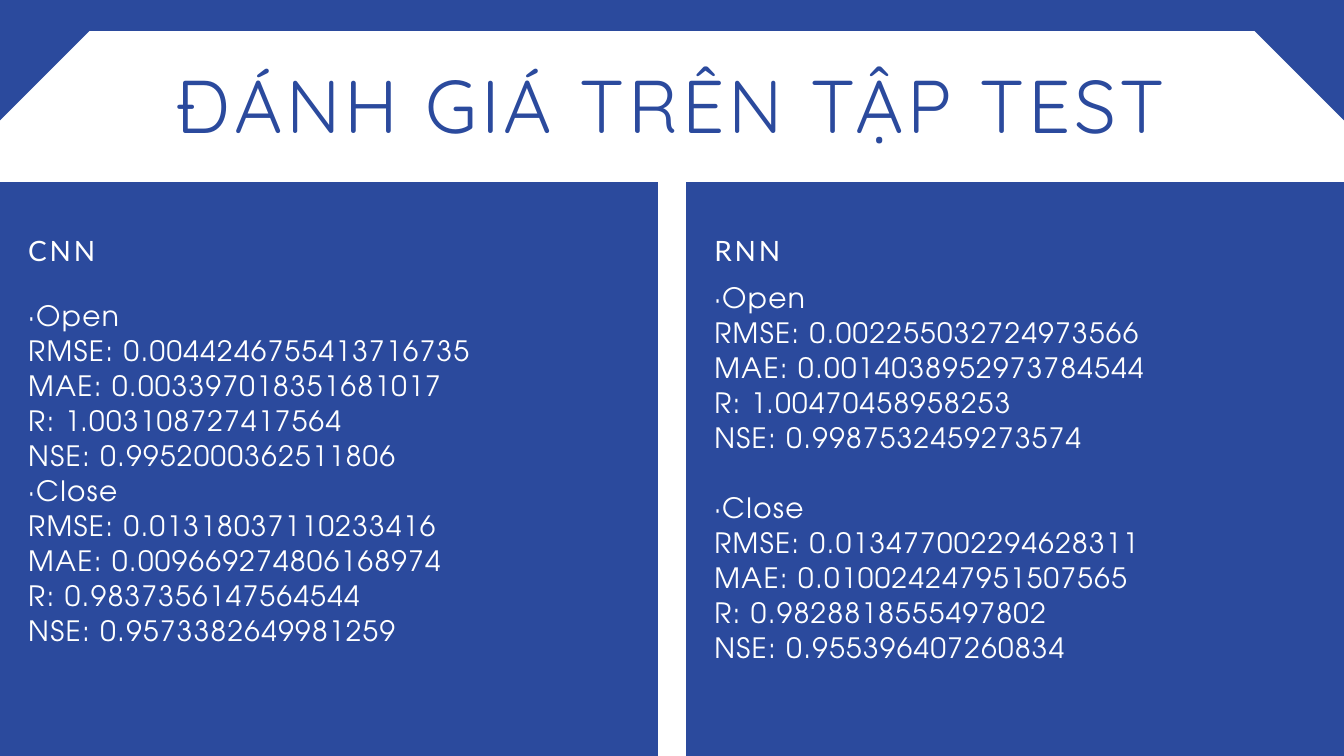
from pptx import Presentation
from pptx.dml.color import RGBColor
from pptx.enum.shapes import MSO_SHAPE
from pptx.enum.text import PP_ALIGN
from pptx.util import Inches, Pt

RECTANGLE = MSO_SHAPE.RECTANGLE
TRIANGLE = MSO_SHAPE.RIGHT_TRIANGLE
CENTER, LEFT = PP_ALIGN.CENTER, PP_ALIGN.LEFT

TITLE = "ĐÁNH GIÁ TRÊN TẬP TEST"
MODELS = [
    {
        "name": "CNN", "top": 4.42, "height": 5.73, "group_gap": 0,
        "groups": [
            ("·Open", "RMSE: 0.0044246755413716735", "MAE: 0.003397018351681017",
             "R: 1.003108727417564", "NSE: 0.9952000362511806"),
            ("·Close", "RMSE: 0.01318037110233416", "MAE: 0.009669274806168974",
             "R: 0.9837356147564544", "NSE: 0.9573382649981259"),
        ],
    },
    {
        "name": "RNN", "top": 4.16, "height": 6.25, "group_gap": 37.5,
        "groups": [
            ("·Open", "RMSE: 0.002255032724973566", "MAE: 0.0014038952973784544",
             "R: 1.00470458958253", "NSE: 0.9987532459273574"),
            ("·Close", "RMSE: 0.013477002294628311", "MAE: 0.010024247951507565",
             "R: 0.9828818555497802", "NSE: 0.955396407260834"),
        ],
    },
]

BLUE = RGBColor.from_string("2B4A9D")
WHITE = RGBColor.from_string("FFFFFF")
THEME = {
    "title": {"font": "Quicksand", "size": 80, "color": BLUE, "line": 84, "tracking": 4, "align": CENTER},
    "heading": {"font": "Lato", "size": 30, "color": WHITE, "line": 42, "tracking": 3, "align": LEFT},
    "body": {"font": "TeX Gyre Adventor", "size": 30, "color": WHITE, "line": 37.5, "tracking": 1.5, "align": LEFT},
}

WIDTH, HEIGHT = 20, 11.25
PANEL_TOP, PANEL_WIDTH = 2.71, 9.79
MARGIN = 0.42
BAND, CORNER = 0.46, 1.79


def add_block(slide, kind, left, top, width, height, rotation=0):
    shape = slide.shapes.add_shape(kind, Inches(left), Inches(top), Inches(width), Inches(height))
    shape.fill.solid()
    shape.fill.fore_color.rgb = BLUE
    shape.line.fill.background()
    shape.shadow.inherit = False
    shape.rotation = rotation


def add_text(slide, lines, style, left, top, width, height):
    box = slide.shapes.add_textbox(Inches(left), Inches(top), Inches(width), Inches(height))
    frame = box.text_frame
    frame.word_wrap = True
    frame.margin_left = frame.margin_right = frame.margin_top = frame.margin_bottom = 0
    frame.text = "\n".join(lines)
    for para in frame.paragraphs:
        para.alignment = style["align"]
        para.line_spacing = Pt(style["line"])
        for span in para.runs:
            span.font.name = style["font"]
            span.font.size = Pt(style["size"])
            span.font.color.rgb = style["color"]
            span.font._element.set("spc", str(int(style["tracking"] * 100)))
    return frame


def add_model(slide, model, panel_left):
    left, width = panel_left + MARGIN, PANEL_WIDTH - 2 * MARGIN
    add_block(slide, RECTANGLE, panel_left, PANEL_TOP, PANEL_WIDTH, HEIGHT - PANEL_TOP)
    add_text(slide, [model["name"]], THEME["heading"], left, 3.39, width, 0.57)
    lines = [line for group in model["groups"] for line in group]
    frame = add_text(slide, lines, THEME["body"], left, model["top"], width, model["height"])
    if model["group_gap"]:
        second_group = frame.paragraphs[len(model["groups"][0])]
        second_group.space_before = Pt(model["group_gap"])


def main():
    deck = Presentation()
    deck.slide_width, deck.slide_height = Inches(WIDTH), Inches(HEIGHT)
    slide = deck.slides.add_slide(deck.slide_layouts[6])
    slide.background.fill.solid()
    slide.background.fill.fore_color.rgb = WHITE

    add_text(slide, [TITLE], THEME["title"], 1.62, 1.04, 16.76, 1.23)
    for model, panel_left in zip(MODELS, (0, WIDTH - PANEL_WIDTH)):
        add_model(slide, model, panel_left)
    add_block(slide, RECTANGLE, 0, 0, WIDTH, BAND)
    for left, rotation in ((0, 90), (WIDTH - CORNER, 180)):
        add_block(slide, TRIANGLE, left, 0, CORNER, CORNER, rotation)

    deck.save("out.pptx")


if __name__ == "__main__":
    main()
